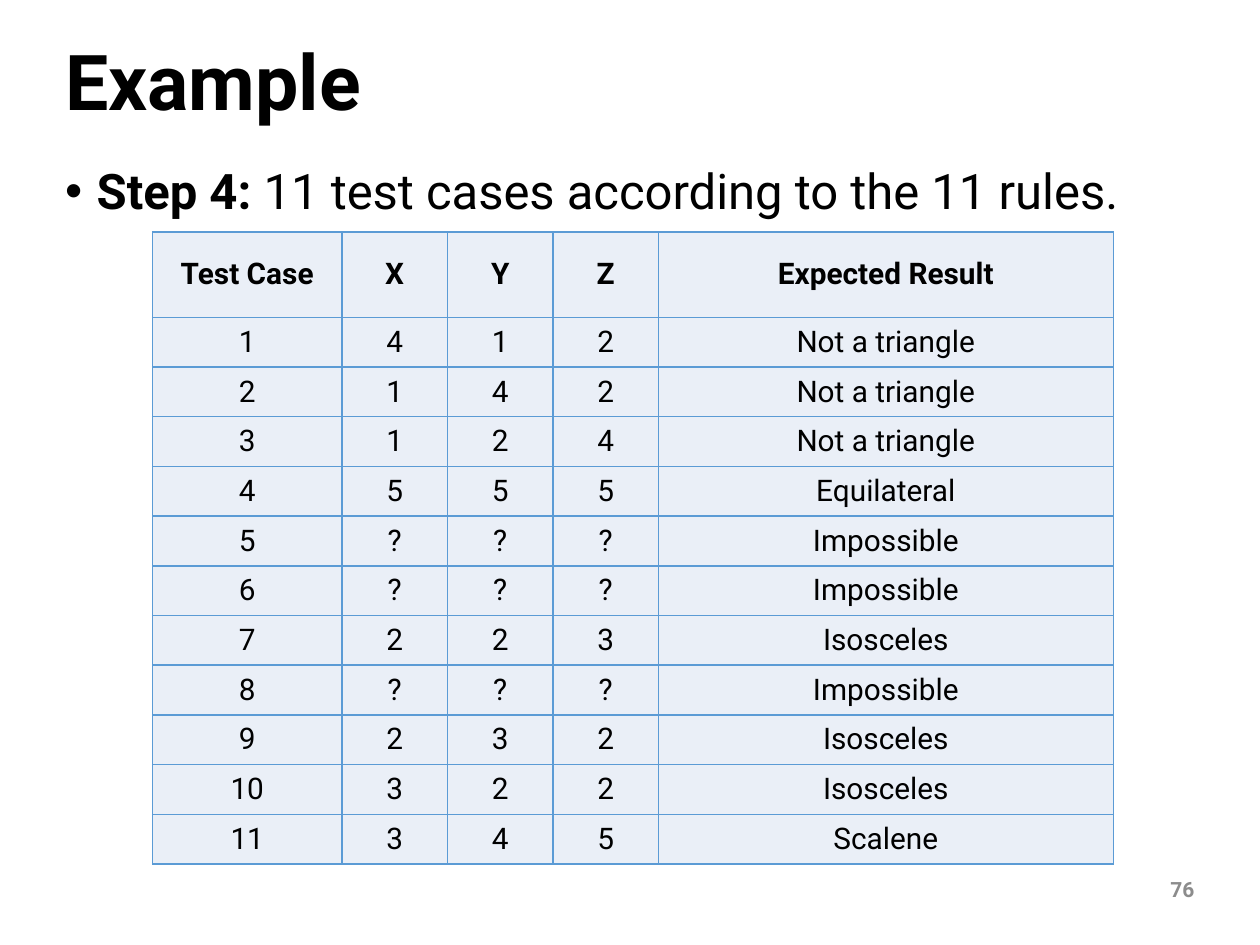
from lxml import etree
from pptx import Presentation
from pptx.dml.color import RGBColor
from pptx.enum import text as t
from pptx.oxml import ns
from pptx.util import Pt

BLACK = RGBColor(0x00, 0x00, 0x00)
GRAY = RGBColor(0x8C, 0x8C, 0x8C)
PALE_BLUE = RGBColor(0xEA, 0xEF, 0xF7)
BLUE = RGBColor(0x5B, 0x9B, 0xD5)
FONT = "Roboto"

HEADINGS = ("Test Case", "X", "Y", "Z", "Expected Result")
TEST_CASES = (
    ("412", "Not a triangle"),
    ("142", "Not a triangle"),
    ("124", "Not a triangle"),
    ("555", "Equilateral"),
    ("???", "Impossible"),
    ("???", "Impossible"),
    ("223", "Isosceles"),
    ("???", "Impossible"),
    ("232", "Isosceles"),
    ("322", "Isosceles"),
    ("345", "Scalene"),
)
COLUMN_WIDTHS = (108.2, 60.3, 60.3, 60.3, 259.9)
HEADER_HEIGHT, ROW_HEIGHT = 48.7, 28.43


def add_span(para, wording, size, bold=False, color=BLACK):
    span = para.add_run()
    span.text = wording
    span.font.name = FONT
    span.font.size = Pt(size)
    span.font.bold = bold
    span.font.color.rgb = color


def add_box(page, area, anchor=t.MSO_ANCHOR.TOP):
    """Add a wrapping text box and return its first paragraph."""
    frame = page.shapes.add_textbox(*map(Pt, area)).text_frame
    frame.word_wrap = True
    frame.vertical_anchor = anchor
    return frame.paragraphs[0]


def add_title(page, area):
    para = add_box(page, area, t.MSO_ANCHOR.MIDDLE)
    para.line_spacing = 0.9
    add_span(para, "Example", 44, bold=True)


def add_step(page, area):
    para = add_box(page, area)
    props = para._p.get_or_add_pPr()
    props.set("marL", str(Pt(18)))
    props.set("indent", str(Pt(-18)))
    etree.SubElement(props, ns.qn("a:buFont"), typeface="Arial")
    etree.SubElement(props, ns.qn("a:buChar"), char="•")
    para.line_spacing = 0.9
    add_span(para, "Step 4: ", 28, bold=True)
    add_span(para, "11 test cases according to the 11 rules.", 28)


def add_page_number(page, area):
    para = add_box(page, area, t.MSO_ANCHOR.MIDDLE)
    para.alignment = t.PP_ALIGN.RIGHT
    add_span(para, "76", 12, bold=True, color=GRAY)


def add_borders(cell):
    props = cell._tc.get_or_add_tcPr()
    for side in ("lnL", "lnR", "lnT", "lnB"):
        line = etree.SubElement(props, ns.qn(f"a:{side}"), w=str(Pt(1)))
        fill = etree.SubElement(line, ns.qn("a:solidFill"))
        etree.SubElement(fill, ns.qn("a:srgbClr"), val=str(BLUE))


def fill_cell(cell, wording, bold):
    add_borders(cell)
    cell.fill.solid()
    cell.fill.fore_color.rgb = PALE_BLUE
    cell.vertical_anchor = t.MSO_ANCHOR.MIDDLE
    cell.margin_left = cell.margin_right = Pt(5.8)
    cell.margin_top = cell.margin_bottom = Pt(2.9)
    para = cell.text_frame.paragraphs[0]
    para.alignment = t.PP_ALIGN.CENTER
    add_span(para, wording, 17, bold=bold)


def add_test_table(page, left, top):
    rows = [HEADINGS]
    for number, (sides, result) in enumerate(TEST_CASES, 1):
        rows.append((str(number), *sides, result))
    heights = [HEADER_HEIGHT] + [ROW_HEIGHT] * len(TEST_CASES)
    area = (left, top, sum(COLUMN_WIDTHS), sum(heights))
    table = page.shapes.add_table(len(rows), len(HEADINGS), *map(Pt, area)).table
    table.horz_banding = False
    for column, width in zip(table.columns, COLUMN_WIDTHS):
        column.width = Pt(width)
    for r, (height, row) in enumerate(zip(heights, rows)):
        table.rows[r].height = Pt(height)
        for c, wording in enumerate(row):
            fill_cell(table.cell(r, c), wording, bold=r == 0)


def main():
    deck = Presentation()
    deck.slide_width, deck.slide_height = Pt(720), Pt(540)
    page = deck.slides.add_slide(deck.slide_layouts[6])
    add_title(page, (30.2, 20.9, 658.8, 56.2))
    add_step(page, (30.2, 92.2, 658.8, 386.6))
    add_page_number(page, (612.7, 493.9, 77, 28.8))
    add_test_table(page, 87.2, 132.6)
    deck.save("out.pptx")


if __name__ == "__main__":
    main()
